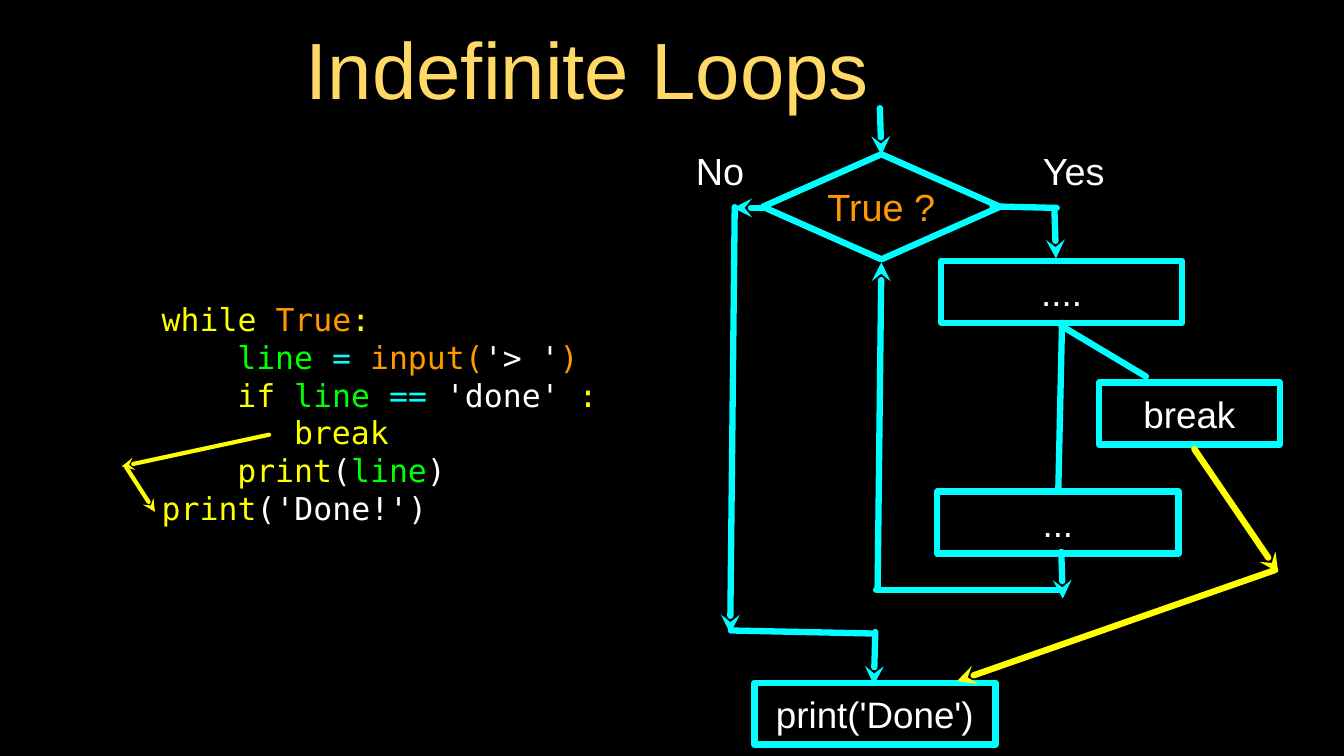
from lxml.etree import SubElement
from pptx import Presentation
from pptx.dml.color import RGBColor
from pptx.enum.shapes import MSO_CONNECTOR, MSO_SHAPE
from pptx.enum.text import MSO_ANCHOR, MSO_AUTO_SIZE, PP_ALIGN
from pptx.oxml.ns import qn
from pptx.util import Inches, Pt

COLORS = {"black": "000000", "white": "FFFFFF", "cyan": "00FFFF", "yellow": "FFFF00",
          "orange": "FF9900", "green": "00FF00", "gold": "FFD966"}
SANS, MONO = "Arial", "DejaVu Sans Mono"
CODE_SIZE, CODE_PITCH, CHAR_WIDTH = 30, 35.9, 0.25

TITLE = "Indefinite Loops"
CODE = [
    (0, [("while ", "yellow"), ("True", "orange"), (":", "yellow")]),
    (4, [("line ", "green"), ("= ", "cyan"), ("input(", "orange"),
         ("'> '", "white"), (")", "orange")]),
    (4, [("if ", "yellow"), ("line ", "green"), ("== ", "cyan"),
         ("'done'", "white"), (" :", "yellow")]),
    (7, [("break", "yellow")]),
    (4, [("print", "yellow"), ("(", "white"), ("line", "green"), (")", "white")]),
    (0, [("print", "yellow"), ("('Done!')", "white")]),
]
BOX_HEIGHT = 0.82
STEPS = [
    ("print('Done')", 9.98, 9.03, 3.19),
    ("....", 12.45, 3.45, 3.19),
    ("...", 12.4, 6.5, 3.19),
    ("break", 14.54, 5.06, 2.39),
]
BRANCHES = [("No", 9.13, 0.79), ("Yes", 13.63, 1.15)]
FLOW_ARROWS = [
    ((11.64, 1.43), (11.66, 2.05)),
    ((11.61, 7.8), (11.66, 3.47)),
    ((10.14, 2.75), (9.7, 2.75)),
    ((11.58, 8.36), (11.56, 9.06)),
    ((9.72, 2.74), (9.66, 8.38)),
    ((14.04, 7.3), (14.06, 7.92)),
    ((13.95, 2.8), (13.97, 3.42)),
]
FLOW_LINES = [
    ((13.98, 2.75), (13.13, 2.73)),
    ((14, 6.5), (14.05, 4.27)),
    ((11.59, 7.8), (14.02, 7.8)),
    ((9.67, 8.34), (11.56, 8.38)),
    ((15.16, 4.98), (14.04, 4.31)),
]
BREAK_ARROWS = [((15.8, 5.94), (16.91, 7.57)), ((16.87, 7.54), (12.66, 9.01))]
CODE_ARROWS = [((1.67, 6.18), (2.05, 6.77)), ((3.56, 5.75), (1.61, 6.17))]


def rgb(color):
    return RGBColor.from_string(COLORS[color])


def prepare(frame, anchor=MSO_ANCHOR.MIDDLE, inset=0, wrap=True):
    frame.auto_size = MSO_AUTO_SIZE.NONE
    frame.word_wrap = wrap
    frame.vertical_anchor = anchor
    frame.margin_left = frame.margin_right = Inches(inset)
    frame.margin_top = frame.margin_bottom = Inches(inset)


def add_run(paragraph, text, size, color, font=SANS):
    run = paragraph.add_run()
    run.text = text
    run.font.size = Pt(size)
    run.font.name = font
    run.font.color.rgb = rgb(color)


def label(part, text, size, color):
    prepare(part.text_frame, wrap=False)
    paragraph = part.text_frame.paragraphs[0]
    paragraph.alignment = PP_ALIGN.CENTER
    add_run(paragraph, text, size, color)


def add_node(kind, text, place, size, color):
    node = slide.shapes.add_shape(kind, *map(Inches, place))
    node.shadow.inherit = False
    node.fill.background()
    node.line.color.rgb = rgb("cyan")
    node.line.width = Pt(6)
    label(node, text, size, color)


def connect(routes, color, width, arrow=True):
    for start, end in routes:
        link = slide.shapes.add_connector(MSO_CONNECTOR.STRAIGHT, *map(Inches, start + end))
        link.line.color.rgb = rgb(color)
        link.line.width = Pt(width)
        outline = link.line._get_or_add_ln()
        outline.set("cap", "rnd")
        SubElement(outline, qn("a:round"))
        if arrow:
            SubElement(outline, qn("a:tailEnd"), type="stealth")
        SubElement(link._element.spPr, qn("a:effectLst"))


deck = Presentation()
deck.slide_width, deck.slide_height = Inches(17.78), Inches(10)
slide = deck.slides.add_slide(deck.slide_layouts[5])
slide.background.fill.solid()
slide.background.fill.fore_color.rgb = rgb("black")

title = slide.shapes.title
title.left, title.top, title.width, title.height = map(Inches, (0.15, 0.22, 15.24, 1.23))
prepare(title.text_frame, MSO_ANCHOR.TOP, 0.04)
title.text_frame.paragraphs[0].alignment = PP_ALIGN.CENTER
add_run(title.text_frame.paragraphs[0], TITLE, 76, "gold")

add_node(MSO_SHAPE.DIAMOND, "True ?", (10.09, 2.04, 3.14, 1.39), 36, "orange")
for text, left, top, width in STEPS:
    add_node(MSO_SHAPE.RECTANGLE, text, (left, top, width, BOX_HEIGHT), 35, "white")
for text, left, width in BRANCHES:
    branch = slide.shapes.add_textbox(*map(Inches, (left, 1.92, width, 0.68)))
    label(branch, text, 36, "white")

connect(FLOW_ARROWS, "cyan", 6)
connect(FLOW_LINES, "cyan", 6, arrow=False)
connect(BREAK_ARROWS, "yellow", 6)
connect(CODE_ARROWS, "yellow", 4)

listing = slide.shapes.add_textbox(*map(Inches, (2.14, 3.65, 7.17, 3.64))).text_frame
prepare(listing)
for number, (indent, tokens) in enumerate(CODE):
    paragraph = listing.add_paragraph() if number else listing.paragraphs[0]
    paragraph.line_spacing = Pt(CODE_PITCH)
    paragraph._p.get_or_add_pPr().set("marL", str(Inches(indent * CHAR_WIDTH)))
    for text, color in tokens:
        add_run(paragraph, text, CODE_SIZE, color, MONO)

deck.save("out.pptx")
